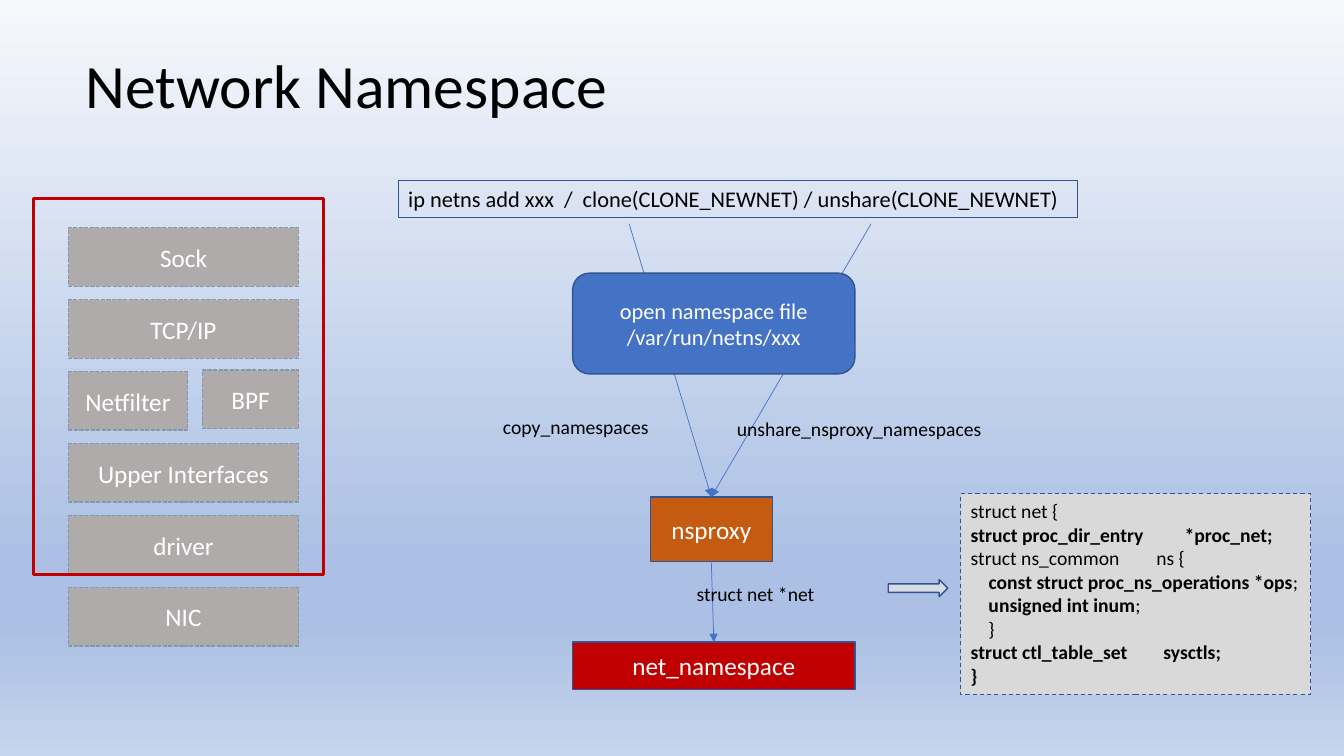
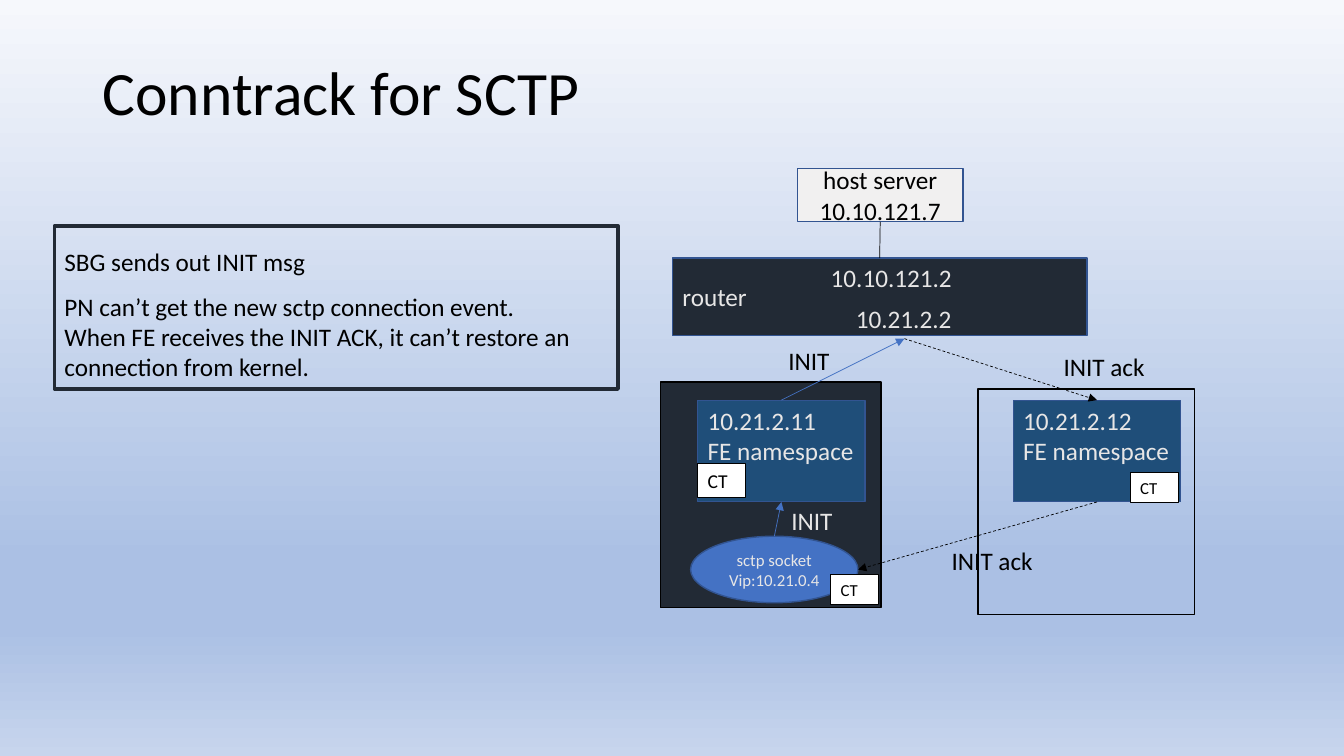
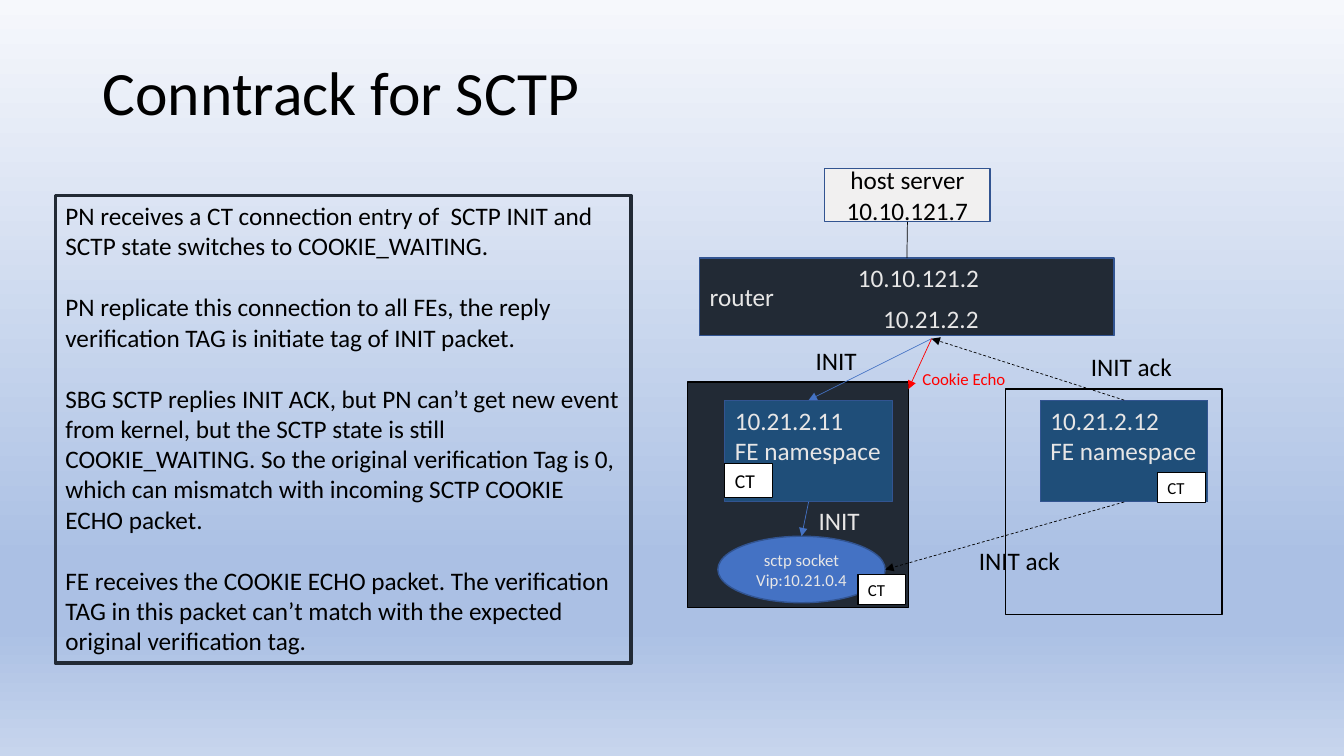
import copy

import pptx
import pptx.dml.color
import pptx.enum.dml
import pptx.enum.shapes
import pptx.enum.text
import pptx.oxml
import pptx.oxml.ns
import pptx.util

RGBColor = pptx.dml.color.RGBColor
SHAPE = pptx.enum.shapes.MSO_SHAPE
DASH = pptx.enum.dml.MSO_LINE
ANCHOR = pptx.enum.text.MSO_ANCHOR
ALIGN = pptx.enum.text.PP_ALIGN

BLACK = RGBColor(0x00, 0x00, 0x00)
WHITE = RGBColor(0xFF, 0xFF, 0xFF)
PALE = RGBColor(0xE7, 0xE6, 0xE6)
NAVY = RGBColor(0x22, 0x2A, 0x35)
BLUE = RGBColor(0x44, 0x72, 0xC4)
EDGE_BLUE = RGBColor(0x32, 0x54, 0x91)
DEEP_BLUE = RGBColor(0x1F, 0x4E, 0x79)
STEEL = RGBColor(0x84, 0x97, 0xB0)
ICE = RGBColor(0xD6, 0xDC, 0xE5)
GRAY = RGBColor(0xAF, 0xAB, 0xAB)
CODE_GRAY = RGBColor(0xD9, 0xD9, 0xD9)
HOST_GRAY = RGBColor(0xF1, 0xF0, 0xF0)
ORANGE = RGBColor(0xC5, 0x5A, 0x11)
DARK_RED = RGBColor(0xC0, 0x00, 0x00)
RED = RGBColor(0xFF, 0x00, 0x00)

BACKDROP = [(0, "F6F8FC"), (74, "ABC0E4"), (83, "ABC0E4"), (100, "C7D5ED")]
FONT = "Calibri"
CELL = pptx.util.Inches(0.1)  # side of one grid column and row
TOP, LEFT, BOTTOM, RIGHT = range(4)

STACK = ["Sock", "TCP/IP", "Netfilter", "Upper Interfaces", "driver", "NIC"]

# Each line: tab stop in columns (or None), then runs of (text, bold).
STRUCT_NET = [
    (None, [("struct net {", False)]),
    (21.2, [("struct proc_dir_entry\t*proc_net;", True)]),
    (18.4, [("struct ns_common\tns {", False)]),
    (None, [("    ", False), ("const struct proc_ns_operations *ops", True), (";", False)]),
    (None, [("    unsigned int inum", True), (";", False)]),
    (None, [("    }", False)]),
    (19.1, [("struct ctl_table_set\tsysctls;", True)]),
    (None, [("}", True)]),
]

INIT_NOTES = [
    "SBG sends out INIT msg",
    "PN can’t get the new sctp connection event.",
    "When FE receives the INIT ACK, it can’t restore an connection from kernel.",
]
COOKIE_NOTES = [
    "PN receives a CT connection entry of  SCTP INIT and SCTP state switches to COOKIE_WAITING.",
    "PN replicate this connection to all FEs, the reply verification TAG is initiate tag "
    "of INIT packet.",
    "SBG SCTP replies INIT ACK, but PN can’t get new event from kernel, but the SCTP state "
    "is still COOKIE_WAITING. So the original verification Tag is 0, which can mismatch with "
    "incoming SCTP COOKIE ECHO packet.",
    "FE receives the COOKIE ECHO packet. The verification TAG in this packet can’t match "
    "with the expected original verification tag.",
]


def cells(*counts):
    """Turn counts of grid columns or rows into lengths."""
    return [pptx.util.Emu(round(count * CELL)) for count in counts]


def set_tab(paragraph, columns):
    properties = paragraph._p.get_or_add_pPr()
    stops = pptx.oxml.parse_xml(
        f'<a:tabLst {pptx.oxml.ns.nsdecls("a")}>'
        f'<a:tab pos="{cells(columns)[0]}" algn="l"/></a:tabLst>')
    properties.append(stops)


def write(shape, lines, size=18, color=BLACK, align=ALIGN.LEFT, anchor=ANCHOR.TOP,
          wrap=True, spacing=None, gap=0):
    """Fill a shape with paragraphs: plain strings, or (tab stop, runs) pairs."""
    frame = shape.text_frame
    frame.word_wrap = wrap
    frame.vertical_anchor = anchor
    for index, line in enumerate(lines):
        tab, runs = (None, [(line, False)]) if isinstance(line, str) else line
        paragraph = frame.add_paragraph() if index else frame.paragraphs[0]
        if tab:
            set_tab(paragraph, tab)
        paragraph.alignment = align
        if spacing:
            paragraph.line_spacing = spacing[index]
        if gap and index:
            paragraph.space_before = pptx.util.Pt(gap)
        for text, bold in runs:
            run = paragraph.add_run()
            run.text = text
            run.font.name = FONT
            run.font.size = pptx.util.Pt(size)
            run.font.bold = bold
            run.font.color.rgb = color


def label(slide, place, text, **text_format):
    """Place free-standing text on the slide."""
    area = slide.shapes.add_textbox(*cells(*place))
    write(area, [text], **{"wrap": False, **text_format})


def box(slide, place, lines=(), kind=SHAPE.RECTANGLE, fill=None, edge=EDGE_BLUE,
        weight=1, dash=None, **text_format):
    shape = slide.shapes.add_shape(kind, *cells(*place))
    shape.shadow.inherit = False
    if fill is None:
        shape.fill.background()
    else:
        shape.fill.solid()
        shape.fill.fore_color.rgb = fill
    shape.line.color.rgb = edge
    shape.line.width = pptx.util.Pt(weight)
    if dash:
        shape.line.dash_style = dash
    if lines:
        write(shape, lines, **text_format)
    return shape


def centered_box(slide, place, lines, color=WHITE, **style):
    return box(slide, place, lines, color=color, align=ALIGN.CENTER,
               anchor=ANCHOR.MIDDLE, **style)


def link(slide, start, end, color=BLUE, dash=None, arrow=True):
    """Draw a line; each end is a (column, row) point or a (shape, side) pair."""
    points = [(0, 0) if hasattr(spot[0], "shape_id") else cells(*spot)
              for spot in (start, end)]
    line = slide.shapes.add_connector(
        pptx.enum.shapes.MSO_CONNECTOR.STRAIGHT, *points[0], *points[1])
    for spot, join in ((start, line.begin_connect), (end, line.end_connect)):
        if hasattr(spot[0], "shape_id"):
            join(*spot)
    line.line.color.rgb = color
    line.line.width = pptx.util.Pt(0.5)
    if dash:
        line.line.dash_style = dash
    if arrow:
        line.line._get_or_add_ln().append(pptx.oxml.parse_xml(
            f'<a:tailEnd {pptx.oxml.ns.nsdecls("a")} type="triangle"/>'))
    line._element.spPr.append(pptx.oxml.parse_xml(
        f'<a:effectLst {pptx.oxml.ns.nsdecls("a")}/>'))


def paint_backdrop(master):
    """Give every slide the vertical gradient."""
    fill = master.background.fill
    fill.gradient()
    fill.gradient_angle = 270
    stops = master.element.find(".//" + pptx.oxml.ns.qn("a:gsLst"))
    for stop in list(stops):
        stops.remove(stop)
    for percent, color in BACKDROP:
        stops.append(pptx.oxml.parse_xml(
            f'<a:gs {pptx.oxml.ns.nsdecls("a")} pos="{percent * 1000}">'
            f'<a:srgbClr val="{color}"/></a:gs>'))


def add_slide(deck, title, left, top):
    slide = deck.slides.add_slide(deck.slide_layouts[6])
    label(slide, (left, top, 115, 14.5), title, size=44, anchor=ANCHOR.MIDDLE,
          wrap=True, spacing=[0.9])
    return slide


def draw_stack(slide):
    """Kernel network layers, and the frame around those a namespace owns."""
    layer = dict(fill=GRAY, edge=STEEL, dash=DASH.SQUARE_DOT)
    for row, name in enumerate(STACK):
        width = 11.8 if name == "Netfilter" else 22.8
        centered_box(slide, (6.8, 22.6 + 7.14 * row, width, 5.8), [name], **layer)
    centered_box(slide, (20.1, 36.7, 9.5, 5.8), ["BPF"], **layer)
    box(slide, (3.3, 19.7, 28.8, 37.3), edge=DARK_RED, weight=2)


def draw_namespace_flow(slide):
    box(slide, (39.5, 17.9, 67.4, 3.7),
        ["ip netns add xxx  /  clone(CLONE_NEWNET) / unshare(CLONE_NEWNET)"],
        weight=0.75, size=16, wrap=False)
    nsproxy = centered_box(slide, (64.5, 49.3, 12.1, 6.4), ["nsproxy"], fill=ORANGE)
    namespace = centered_box(slide, (56.8, 63.7, 28, 4.7), ["net_namespace"], fill=DARK_RED)
    for call_column in (86.4, 62.4):
        link(slide, (call_column, 22.2), (nsproxy, TOP))
    link(slide, (nsproxy, BOTTOM), (namespace, TOP))
    label(slide, (72.1, 40.9, 26.5, 3.4), "unshare_nsproxy_namespaces", size=14)
    label(slide, (48.9, 40.7, 16.6, 3.4), "copy_namespaces", size=14)
    label(slide, (68.1, 57.2, 13.8, 3.4), "struct net *net", size=14)
    centered_box(slide, (56.8, 27.1, 28, 10), ["open namespace file /var/run/netns/xxx"],
                 kind=SHAPE.ROUNDED_RECTANGLE, fill=BLUE, size=16)
    box(slide, (95.3, 49, 34.7, 19.9), STRUCT_NET, fill=CODE_GRAY, weight=0.75,
        dash=DASH.DASH, size=14, wrap=False)
    box(slide, (88.1, 57.5, 5.9, 1.7), kind=SHAPE.RIGHT_ARROW, fill=ICE)


def draw_sctp_network(slide, left, incoming):
    """Hosts and messages; an incoming connection turns the INIT arrows round."""
    def at(column, row, *size):
        return (left + column, row, *size)

    def message(sender, receiver, **style):
        ends = (receiver, sender) if incoming else (sender, receiver)
        link(slide, *ends, **style)

    router = box(slide, at(1.2, 25.6, 41.1, 7.7), ["router"], fill=NAVY, color=PALE,
                 anchor=ANCHOR.MIDDLE)
    box(slide, at(0, 37.9, 21.9, 22.4), fill=NAVY, edge=BLACK)
    box(slide, at(31.5, 38.6, 21.5, 22.4), edge=BLACK)
    active, standby = [
        box(slide, at(column, 39.7, 16.6, 10.1), [address, "FE namespace"],
            fill=DEEP_BLUE, weight=0.75, color=PALE)
        for column, address in ((3.7, "10.21.2.11"), (35, "10.21.2.12"))]
    socket = centered_box(slide, at(3, 53.2, 16.6, 6.6), ["sctp socket", "Vip:10.21.0.4"],
                          kind=SHAPE.OVAL, fill=BLUE, size=12, color=PALE)
    host = centered_box(slide, at(13.6, 16.7, 16.4, 5.3), ["host server", "10.10.121.7"],
                        fill=HOST_GRAY, color=BLACK)

    gateway = at(24.2, 33.6)
    link(slide, (host, BOTTOM), (router, TOP), color=BLACK, arrow=False)
    message((active, TOP), gateway)
    message((socket, TOP), (active, BOTTOM))
    message(gateway, (standby, TOP), color=BLACK, dash=DASH.DASH)
    link(slide, (standby, BOTTOM), at(19.6, 56.5), color=BLACK, dash=DASH.DASH)

    for column, row, width, text, color in (
            (18.4, 29.6, 11.6, "10.21.2.2", PALE),
            (15.9, 25.5, 14.2, "10.10.121.2", PALE),
            (12, 49.6, 6.1, "INIT", PALE),
            (11.7, 33.8, 6.1, "INIT", BLACK),
            (39, 34.4, 10.1, "INIT ack", BLACK),
            (27.9, 53.6, 10.1, "INIT ack", BLACK)):
        label(slide, at(column, row, width, 4), text, color=color)
    for column, row, height, size in ((46.6, 46.9, 3, 12), (3.7, 46, 3.4, 14),
                                      (16.9, 57, 3, 12)):
        box(slide, at(column, row, 4.75, height), ["CT"], fill=WHITE, edge=BLACK,
            weight=0.75, size=size)
    if incoming:
        link(slide, gateway, at(21.9, 38.6), color=RED)
        label(slide, at(22.3, 36.1, 10.4, 3), "Cookie Echo", size=12, color=RED)


def main():
    deck = pptx.Presentation()
    deck.slide_width = pptx.util.Inches(13.33)
    deck.slide_height = pptx.util.Inches(7.5)
    paint_backdrop(deck.slide_master)

    namespace_slide = add_slide(deck, "Network Namespace", 7.5, 1.5)
    draw_stack(namespace_slide)
    draw_namespace_flow(namespace_slide)

    notes = dict(edge=NAVY, weight=2.5)
    init_slide = add_slide(deck, "Conntrack for SCTP", 9.2, 2.2)
    draw_sctp_network(init_slide, 65.5, incoming=False)
    box(init_slide, (5.4, 22.4, 55.9, 16.2), INIT_NOTES, spacing=[1.5, 1.5, 1.0], **notes)

    cookie_slide = add_slide(deck, "Conntrack for SCTP", 9.2, 2.2)
    draw_sctp_network(cookie_slide, 68.2, incoming=True)
    box(cookie_slide, (5.5, 19.4, 57.1, 46.4), COOKIE_NOTES, gap=22, **notes)

    deck.save("out.pptx")


if __name__ == "__main__":
    main()
